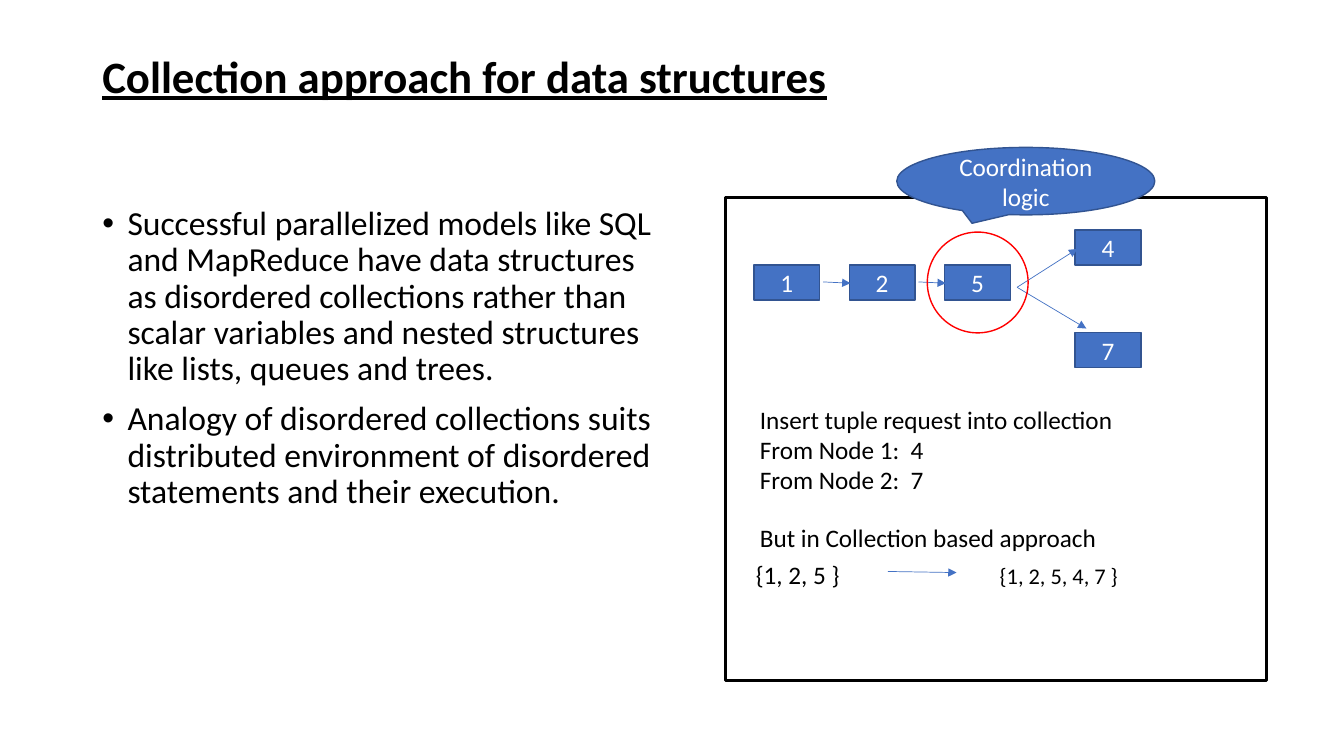
from dataclasses import dataclass

from lxml.etree import SubElement
from pptx import Presentation
from pptx.dml.color import RGBColor
from pptx.enum.shapes import MSO_CONNECTOR, MSO_SHAPE
from pptx.enum.text import MSO_ANCHOR, PP_ALIGN
from pptx.oxml.ns import qn
from pptx.util import Pt


@dataclass(frozen=True)
class Theme:
    font: str = "Calibri"
    ink: str = "000000"
    light: str = "FFFFFF"
    blue: str = "4472C4"
    blue_edge: str = "325491"
    highlight: str = "FF0000"
    title_size: float = 32
    body_size: float = 24
    label_size: float = 18
    small_size: float = 16


THEME = Theme()

TITLE = "Collection approach for data structures"
BULLETS = [
    "Successful parallelized models like SQL and MapReduce have data structures "
    "as disordered collections rather than scalar variables and nested structures "
    "like lists, queues and trees.",
    "Analogy of disordered collections suits distributed environment of "
    "disordered statements and their execution.",
]
INSERT_REQUEST = [
    "Insert tuple request into collection",
    "From Node 1:  4",
    "From Node 2:  7",
]

NODE_WIDTH, NODE_HEIGHT = 47, 25
CHAIN_LEFT, CHAIN_TOP, CHAIN_STEP = 538.5, 189.4, 68.1
BRANCH_LEFT = 768
BRANCH_TOPS = {"4": 164.4, "7": 237.6}


def rgb(color):
    return RGBColor.from_string(color)


def points(*lengths):
    return [Pt(length) for length in lengths]


def style_font(paragraph, size, color):
    font = paragraph.font
    font.name = THEME.font
    font.size = Pt(size)
    font.color.rgb = rgb(color)


def add_text(slide, bounds, lines, size):
    """Add a wrapping text box with one paragraph per line and return its frame."""
    frame = slide.shapes.add_textbox(*points(*bounds)).text_frame
    frame.word_wrap = True
    frame.text = "\n".join(lines)
    for paragraph in frame.paragraphs:
        style_font(paragraph, size, THEME.ink)
    return frame


def add_title(slide):
    frame = add_text(slide, (66, 35.7, 828, 44), [TITLE], THEME.title_size)
    heading = frame.paragraphs[0]
    heading.line_spacing = 0.9
    heading.font.bold = True
    heading.font.underline = True


def add_bullets(slide):
    frame = add_text(slide, (66, 144, 408, 343), BULLETS, THEME.body_size)
    for index, paragraph in enumerate(frame.paragraphs):
        paragraph.line_spacing = 0.9
        if index:
            paragraph.space_before = Pt(10)
        properties = paragraph._p.get_or_add_pPr()
        properties.set("marL", str(Pt(18)))
        properties.set("indent", str(Pt(-18)))
        bullet_font = properties.makeelement(qn("a:buFont"), {"typeface": "Arial"})
        bullet = properties.makeelement(qn("a:buChar"), {"char": "•"})
        run_defaults = properties.find(qn("a:defRPr"))
        run_defaults.addprevious(bullet_font)
        run_defaults.addprevious(bullet)


def add_outline(slide, kind, bounds, color, width):
    outline = slide.shapes.add_shape(kind, *points(*bounds))
    outline.shadow.inherit = False
    outline.fill.background()
    outline.line.color.rgb = rgb(color)
    outline.line.width = Pt(width)
    return outline


def add_label_shape(slide, kind, bounds, label):
    """Add a blue shape with a centred light label."""
    shape = add_outline(slide, kind, bounds, THEME.blue_edge, 1)
    shape.fill.solid()
    shape.fill.fore_color.rgb = rgb(THEME.blue)
    frame = shape.text_frame
    frame.word_wrap = True
    frame.vertical_anchor = MSO_ANCHOR.MIDDLE
    frame.text = label
    frame.paragraphs[0].alignment = PP_ALIGN.CENTER
    style_font(frame.paragraphs[0], THEME.label_size, THEME.light)


def add_node(slide, left, top, label):
    bounds = (left, top, NODE_WIDTH, NODE_HEIGHT)
    add_label_shape(slide, MSO_SHAPE.RECTANGLE, bounds, label)


def add_arrow(slide, start, end):
    arrow = slide.shapes.add_connector(MSO_CONNECTOR.STRAIGHT, *points(*start, *end))
    arrow.line.color.rgb = rgb(THEME.blue)
    arrow.line.width = Pt(0.5)
    SubElement(arrow.line._get_or_add_ln(), qn("a:tailEnd"), type="triangle")
    SubElement(arrow._element.spPr, qn("a:effectLst"))


def add_node_graph(slide):
    for index, label in enumerate("125"):
        add_node(slide, CHAIN_LEFT + index * CHAIN_STEP, CHAIN_TOP, label)
    for label, top in BRANCH_TOPS.items():
        add_node(slide, BRANCH_LEFT, top, label)
    for index in range(2):
        left = CHAIN_LEFT + NODE_WIDTH + 2.5 + index * CHAIN_STEP
        add_arrow(slide, (left, 201.4), (left + 19.5, 202.3))
    for branch_end in ((769.5, 177.8), (776, 234.7)):
        add_arrow(slide, (726.5, 205.2), branch_end)
    add_outline(slide, MSO_SHAPE.OVAL, (662.4, 165.8, 72, 72), THEME.highlight, 1)
    add_label_shape(slide, MSO_SHAPE.OVAL_CALLOUT, (640.6, 105.3, 184.3, 48.2),
                    "Coordination logic")


def add_collection_example(slide):
    add_text(slide, (535.7, 285.1, 289.4, 72.7), INSERT_REQUEST, THEME.label_size)
    add_text(slide, (535.7, 369.4, 269.3, 29), ["But in Collection based approach"],
             THEME.label_size)
    add_text(slide, (532.8, 396, 90.7, 29), ["{1, 2, 5 }"], THEME.label_size)
    add_text(slide, (707, 398.2, 113.8, 26.6), ["{1, 2, 5, 4, 7 }"], THEME.small_size)
    add_arrow(slide, (634.3, 408.2), (683.3, 409))


def main():
    presentation = Presentation()
    presentation.slide_width, presentation.slide_height = points(960, 540)
    slide = presentation.slides.add_slide(presentation.slide_layouts[6])
    add_title(slide)
    add_bullets(slide)
    add_outline(slide, MSO_SHAPE.RECTANGLE, (518.4, 141.3, 386, 344.9), THEME.ink, 2.25)
    add_node_graph(slide)
    add_collection_example(slide)
    presentation.save("out.pptx")


if __name__ == "__main__":
    main()
